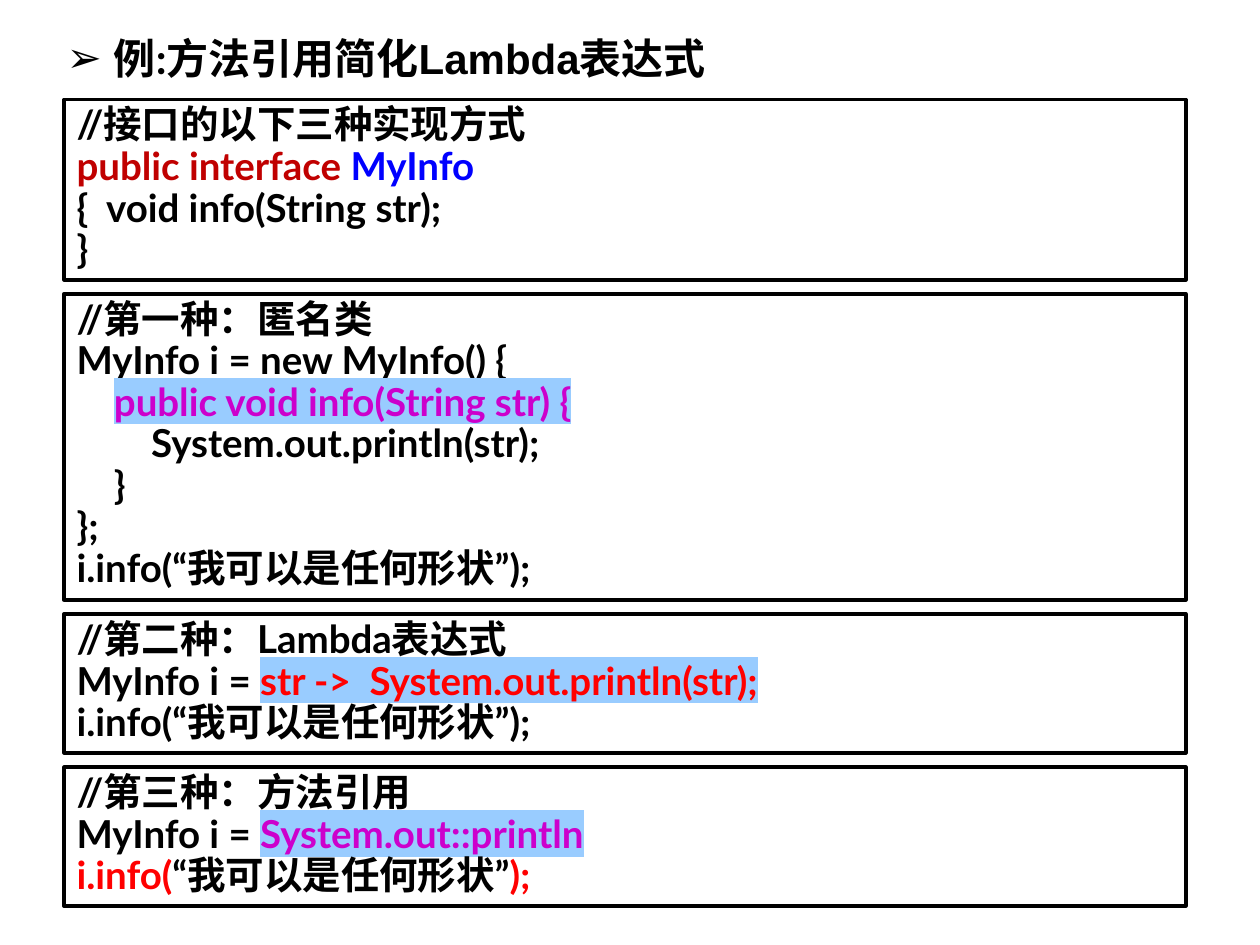
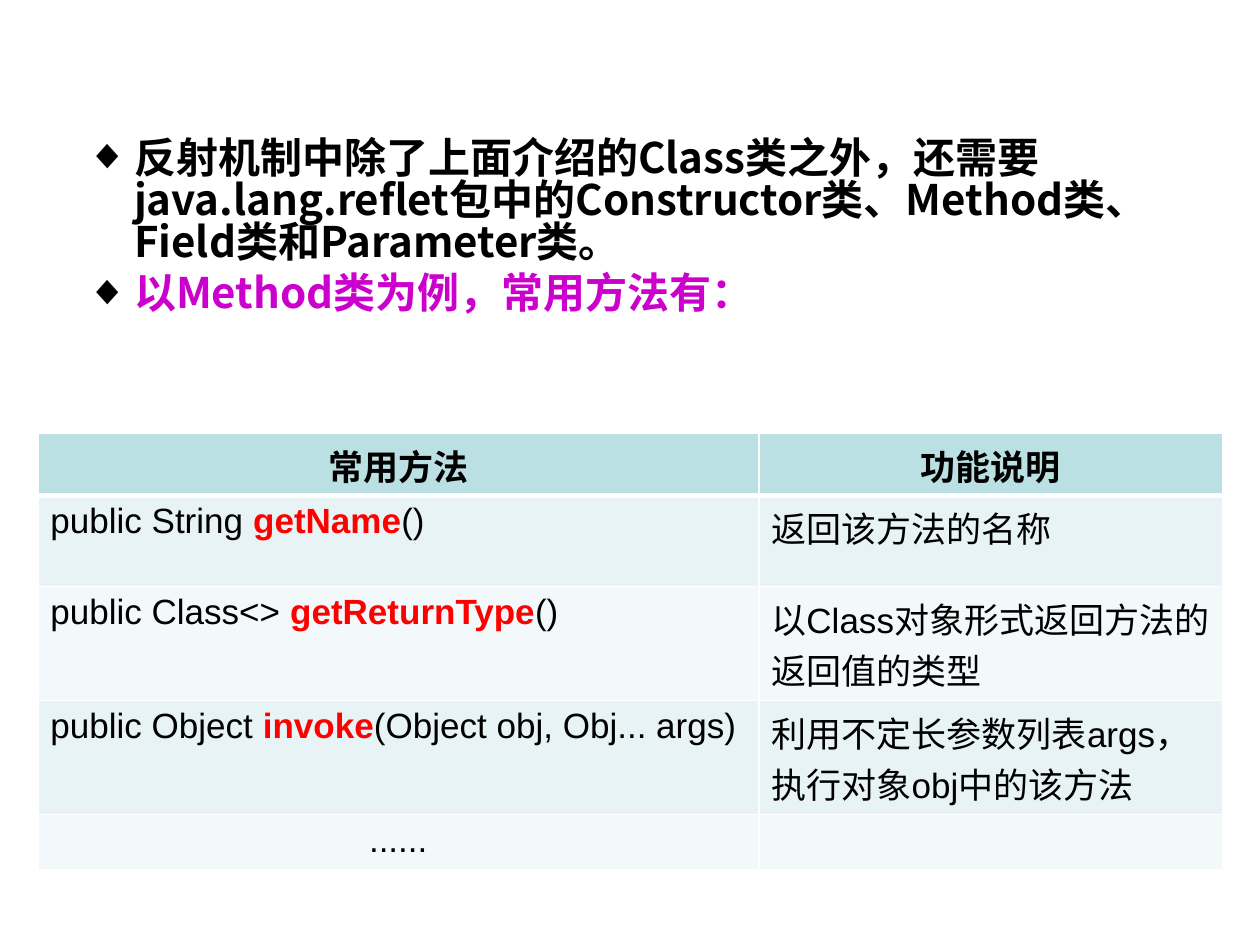
from lxml import etree
from pptx import Presentation
from pptx.dml.color import RGBColor
from pptx.enum.shapes import MSO_SHAPE
from pptx.enum.text import MSO_ANCHOR, PP_ALIGN
from pptx.oxml.ns import qn
from pptx.util import Pt

RECT = MSO_SHAPE.RECTANGLE
LEFT, CENTER, TOP = PP_ALIGN.LEFT, PP_ALIGN.CENTER, MSO_ANCHOR.TOP
BLACK, WHITE, RED, PURPLE = "000000", "FFFFFF", "FF0000", "CC00CC"
DARK_RED, BLUE, HIGHLIGHT = "C00000", "0000FF", "99CCFF"
HEADER_FILL, BAND_FILLS = "BBE0E3", ("E7F3F4", "F3F9FA")
CODE, SANS, CJK = "Lato", "Arial", "Noto Sans CJK SC"
rgb = RGBColor.from_string


def add_text(p, text, size=22, font=CODE, ea=None, color=BLACK, bold=True, hl=None):
    r = p.add_run()
    r.text = text
    r.font.size, r.font.bold, r.font.name = Pt(size), bold, font
    r.font.color.rgb = rgb(color)
    rPr = r.font._element
    latin = rPr.find(qn("a:latin"))
    latin.addnext(etree.Element(qn("a:ea"), typeface=ea or font))
    if hl:
        mark = etree.Element(qn("a:highlight"))
        etree.SubElement(mark, qn("a:srgbClr"), val=hl)
        latin.addprevious(mark)


def add_bullet(p, char):
    pPr = p._p.get_or_add_pPr()
    pPr.set("marL", str(Pt(27)))
    pPr.set("indent", str(-Pt(27)))
    bu_color = etree.SubElement(pPr, qn("a:buClr"))
    etree.SubElement(bu_color, qn("a:srgbClr"), val=BLACK)
    etree.SubElement(pPr, qn("a:buFont"), typeface=SANS)
    etree.SubElement(pPr, qn("a:buChar"), char=char)


prs = Presentation()
prs.slide_width, prs.slide_height = Pt(720), Pt(540)
blank = prs.slide_layouts[6]

# Slide 1: title
s = prs.slides.add_slide(blank)
tf = s.shapes.add_textbox(Pt(31), Pt(15.1), Pt(674.6), Pt(36)).text_frame
tf.word_wrap = True
p = tf.paragraphs[0]
add_bullet(p, "➢")
add_text(p, "例:方法引用", size=24)
add_text(p, "简化Lambda表达式", size=24, font=SANS)

# Slide 1: code boxes as (top, height, lines of (text, format) runs)
call = [("i.info(“我可以是任何形状”);", {})]
code_boxes = [
    (56.9, 103, [
        [("//接口的以下三种实现方式", {})],
        [("public interface ", {"color": DARK_RED}), ("MyInfo", {"color": BLUE})],
        [("{  void info(String str);", {})],
        [("}", {})],
    ]),
    (167.8, 175, [
        [("//第一种：匿名类", {})],
        [("MyInfo i = new MyInfo() {", {})],
        [("    ", {}),
         ("public void info(String str) {", {"color": PURPLE, "hl": HIGHLIGHT})],
        [("        System.out.println(str);", {})],
        [("    }", {})],
        [("};", {})],
        call,
    ]),
    (350.9, 79.2, [
        [("//第二种：Lambda表达式", {})],
        [("MyInfo i = ", {}),
         ("str ->  System.out.println(str);", {"color": RED, "hl": HIGHLIGHT})],
        call,
    ]),
    (438.5, 79.2, [
        [("//第三种：方法引用", {})],
        [("MyInfo i = ", {}),
         ("System.out::println", {"color": PURPLE, "hl": HIGHLIGHT})],
        [("i.info(", {"color": RED}), ("“我可以是任何形状”", {}), (");", {"color": RED})],
    ]),
]
for top, height, lines in code_boxes:
    sp = s.shapes.add_shape(RECT, Pt(36.7), Pt(top), Pt(640.8), Pt(height))
    sp.shadow.inherit = False
    sp.fill.background()
    sp.line.color.rgb, sp.line.width = rgb(BLACK), Pt(2.25)
    tf = sp.text_frame
    tf.word_wrap, tf.vertical_anchor = True, TOP
    for i, line in enumerate(lines):
        p = tf.add_paragraph() if i else tf.paragraphs[0]
        p.alignment, p.line_spacing = LEFT, 0.9
        for text, fmt in line:
            add_text(p, text, **fmt)

# Slide 2: bullets
s = prs.slides.add_slide(blank)
tf = s.shapes.add_textbox(Pt(42.5), Pt(76), Pt(635), Pt(133)).text_frame
tf.word_wrap = True
bullets = [
    ("反射机制中除了上面介绍的Class类之外，还需要java.lang.reflet包中的"
     "Constructor类、Method类、Field类和Parameter类。", BLACK),
    ("以Method类为例，常用方法有：", PURPLE),
]
for i, (text, color) in enumerate(bullets):
    p = tf.add_paragraph() if i else tf.paragraphs[0]
    add_bullet(p, "◆")
    p.line_spacing = 0.84
    if i:
        p.space_before = Pt(4.8)
    add_text(p, text, size=24, font=CJK, color=color)

# Slide 2: method table, cells as runs of (text, format)
name = {"color": RED, "bold": True}
rows = [
    [[("常用方法", {"bold": True})], [("功能说明", {"bold": True})]],
    [[("public String ", {}), ("getName", name), ("()", {})],
     [("返回该方法的名称", {})]],
    [[("public Class<> ", {}), ("getReturnType", name), ("()", {})],
     [("以Class对象形式返回方法的返回值的类型", {})]],
    [[("public Object ", {}), ("invoke", name), ("(Object obj, Obj... args)", {})],
     [("利用不定长参数列表args，执行对象obj中的该方法", {})]],
    [[("......", {})], []],
]
col_widths = (412, 265)
row_heights = (35.5, 52, 65.2, 65.2, 29)
table = s.shapes.add_table(len(rows), 2, Pt(21.6), Pt(247.7),
                           Pt(sum(col_widths)), Pt(sum(row_heights))).table
for col, width in zip(table.columns, col_widths):
    col.width = Pt(width)
for i, (row, height) in enumerate(zip(rows, row_heights)):
    table.rows[i].height = Pt(height)
    for j, runs in enumerate(row):
        cell = table.cell(i, j)
        cell.fill.solid()
        cell.fill.fore_color.rgb = rgb(BAND_FILLS[(i - 1) % 2] if i else HEADER_FILL)
        p = cell.text_frame.paragraphs[0]
        p.alignment = CENTER if i == 0 or (i == 4 and j == 0) else LEFT
        for text, fmt in runs:
            add_text(p, text, **{"size": 20, "font": SANS, "ea": CJK, "bold": False, **fmt})
        # White grid, thicker under the header
        tcPr = cell._tc.get_or_add_tcPr()
        for k, side in enumerate(("lnL", "lnR", "lnT", "lnB")):
            thick = (i == 0 and side == "lnB") or (i == 1 and side == "lnT")
            ln = etree.Element(qn("a:" + side), w=str(Pt(3 if thick else 1)))
            fill = etree.SubElement(ln, qn("a:solidFill"))
            etree.SubElement(fill, qn("a:srgbClr"), val=WHITE)
            tcPr.insert(k, ln)

prs.save("out.pptx")
